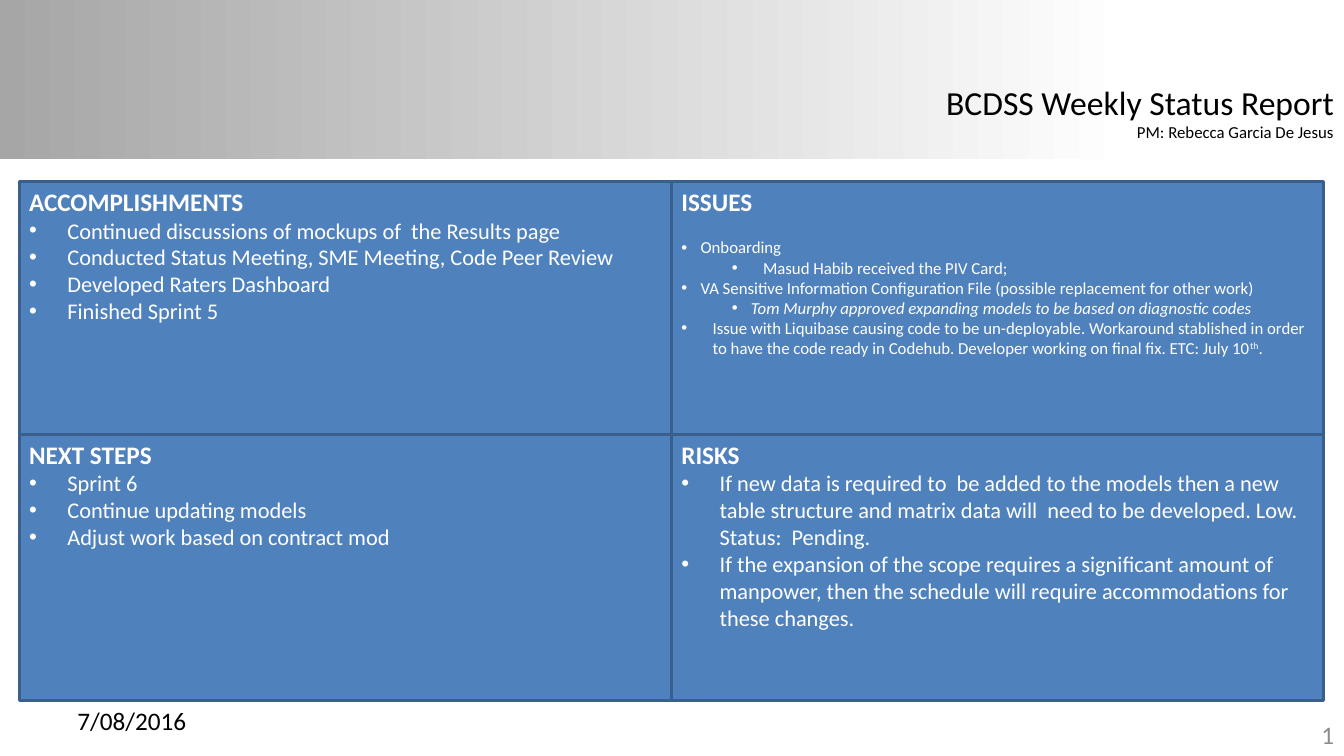
from lxml.etree import SubElement
from pptx import Presentation
from pptx.dml.color import RGBColor
from pptx.enum.shapes import MSO_SHAPE as Shape
from pptx.enum.text import MSO_ANCHOR as Anchor, PP_ALIGN as Align
from pptx.oxml.ns import qn
from pptx.util import Inches, Pt

WIDTH, HEIGHT = 13.33, 7.5
FONT = "Calibri"
COLORS = {"black": "000000", "white": "FFFFFF", "grey": "A6A6A6",
          "number": "8C8C8C", "panel": "4F81BD", "border": "3A5F8C"}

GRID_LEFT, GRID_TOP = 0.19, 1.8
COLUMN_WIDTH = 6.47
ROW_HEIGHTS = (2.51, 2.64)

# Each item: text, size, indent level, left margin, hanging indent.
# A "^" in the text switches superscript on and off.
ISSUES = [
    ("Onboarding", 12, 0, 0.19, 0.19),
    ("Masud Habib received the PIV Card;", 12, 1, 0.81, 0.31),
    ("VA Sensitive Information Configuration File "
     "(possible replacement for other work)", 12, 0, 0.19, 0.19),
    ("Tom Murphy approved expanding models to be based on diagnostic codes",
     12, 1, 0.69, 0.19),
    ("Issue with Liquibase causing code to be un-deployable. Workaround "
     "stablished in order to have the code ready in Codehub. Developer working "
     "on final fix. ETC: July 10^th^.", 12, 0, 0.31, 0.31),
]


def main_points(*texts):
    return [(text, 16, 0, 0.38, 0.38) for text in texts]


# Rows of (heading, items, space before the first item, italic item)
PANELS = [
    [("ACCOMPLISHMENTS", main_points(
        "Continued discussions of mockups of  the Results page",
        "Conducted Status Meeting, SME Meeting, Code Peer Review",
        "Developed Raters Dashboard",
        "Finished Sprint 5"), 0, None),
     ("ISSUES", ISSUES, 14.65, 3)],
    [("NEXT STEPS", main_points(
        "Sprint 6",
        "Continue updating models",
        "Adjust work based on contract mod"), 0, None),
     ("RISKS", main_points(
         "If new data is required to  be added to the models then a new table "
         "structure and matrix data will  need to be developed. Low. "
         "Status:  Pending.",
         "If the expansion of the scope requires a significant amount of "
         "manpower, then the schedule will require accommodations for these "
         "changes."), 0, None)],
]


def color(name):
    return RGBColor.from_string(COLORS[name])


def inches(box):
    return [Inches(length) for length in box]


def style(para, size, color_name, bold=False, italic=False, align=Align.LEFT):
    para.alignment = align
    font = para.font
    font.name, font.size, font.bold, font.italic = FONT, Pt(size), bold, italic
    font.color.rgb = color(color_name)


def add_bullet(para, margin, hanging):
    props = para._p.get_or_add_pPr()
    props.set("marL", str(Inches(margin)))
    props.set("indent", str(-Inches(hanging)))
    SubElement(props, qn("a:buFont")).set("typeface", "Arial")
    SubElement(props, qn("a:buChar")).set("char", "•")


def add_banner(page, box):
    banner = page.shapes.add_shape(Shape.RECTANGLE, *inches(box))
    banner.shadow.inherit = False
    banner.line.fill.background()
    banner.fill.gradient()
    banner.fill.gradient_angle = 0
    stops = zip(banner.fill.gradient_stops, (0, 0.84), ("grey", "white"))
    for stop, position, name in stops:
        stop.position = position
        stop.color.rgb = color(name)
    # The placeholder comes with the page, so the banner goes behind it
    page.shapes._spTree.insert(2, banner._element)


def place_title(page, box):
    title = page.shapes.title
    title.left, title.top, title.width, title.height = inches(box)
    frame = title.text_frame
    frame.word_wrap = False
    frame.vertical_anchor = Anchor.TOP
    frame.text = "BCDSS Weekly Status Report\nPM: Rebecca Garcia De Jesus"
    for para, size in zip(frame.paragraphs, (24, 12)):
        style(para, size, "black", align=Align.RIGHT)


def add_footer(page, box, text, color_name, align):
    frame = page.shapes.add_textbox(*inches(box)).text_frame
    frame.word_wrap = True
    frame.vertical_anchor = Anchor.MIDDLE
    frame.text = text
    style(frame.paragraphs[0], 18, color_name, align=align)


def add_panel(page, box, heading, items, gap, italic_item):
    panel = page.shapes.add_shape(Shape.RECTANGLE, *inches(box))
    panel.shadow.inherit = False
    panel.fill.solid()
    panel.fill.fore_color.rgb = color("panel")
    panel.line.color.rgb = color("border")
    panel.line.width = Pt(2)
    frame = panel.text_frame
    frame.word_wrap = True
    frame.vertical_anchor = Anchor.TOP
    frame.text = heading
    style(frame.paragraphs[0], 18, "white", bold=True)
    for index, (text, size, level, margin, hanging) in enumerate(items):
        para = frame.add_paragraph()
        para.level = level
        if index == 0 and gap:
            para.space_before = Pt(gap)
        add_bullet(para, margin, hanging)
        style(para, size, "white", italic=index == italic_item)
        for part, words in enumerate(text.split("^")):
            span = para.add_run()
            span.text = words
            if part % 2:
                span._r.get_or_add_rPr().set("baseline", "30000")


def add_panels(page):
    top = GRID_TOP
    for row, height in zip(PANELS, ROW_HEIGHTS):
        for column, panel in enumerate(row):
            left = GRID_LEFT + column * COLUMN_WIDTH
            add_panel(page, (left, top, COLUMN_WIDTH, height), *panel)
        top += height


def main():
    deck = Presentation()
    deck.slide_width, deck.slide_height = Inches(WIDTH), Inches(HEIGHT)
    page = deck.slides.add_slide(deck.slide_layouts[5])
    add_banner(page, (0, 0, WIDTH, 1.58))
    place_title(page, (WIDTH - 4.08, 0.76, 4.08, 0.71))
    add_panels(page)
    add_footer(page, (0.67, 6.95, 3.11, 0.4), "7/08/2016", "black", Align.LEFT)
    add_footer(page, (WIDTH - 3.11, 7.09, 3.11, 0.4), "1", "number", Align.RIGHT)
    deck.save("out.pptx")


if __name__ == "__main__":
    main()
